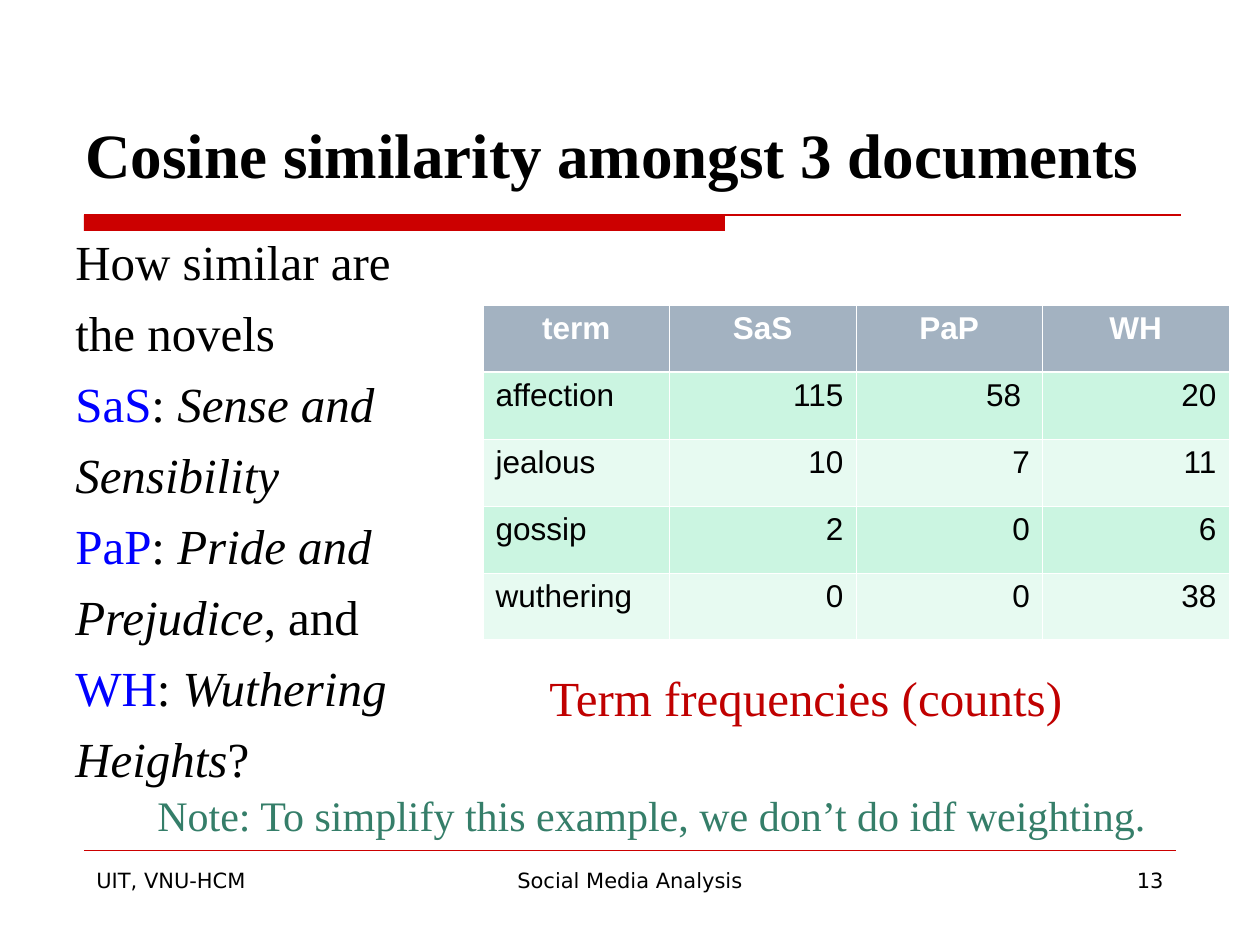
from lxml import etree
from pptx import Presentation
from pptx.dml.color import RGBColor
from pptx.enum.shapes import MSO_CONNECTOR, MSO_SHAPE
from pptx.enum.text import MSO_ANCHOR, PP_ALIGN
from pptx.oxml.ns import qn
from pptx.util import Pt

LEFT, MID, RIGHT = PP_ALIGN.LEFT, PP_ALIGN.CENTER, PP_ALIGN.RIGHT
TOP, BOTTOM = MSO_ANCHOR.TOP, MSO_ANCHOR.BOTTOM
STRAIGHT, RECT = MSO_CONNECTOR.STRAIGHT, MSO_SHAPE.RECTANGLE
PX = 914400 / 126
SERIF, SANS, UI = "Times New Roman", "Arial", "DejaVu Sans"
INK = {
    "red": "CC0000", "deep": "C00000", "blue": "0000FF", "green": "357E69",
    "black": "000000", "white": "FFFFFF",
    "head": "A3B2C1", "mint": "CBF5E1", "pale": "E7FAF1",
}


def emu(*nums):
    return [round(n * PX) for n in nums]


def write(para, text, font, size, color="black", **more):
    """Add a run; more holds further font values such as bold or italic."""
    run = para.add_run()
    run.text = text
    for key, val in {"name": font, "size": Pt(size), **more}.items():
        setattr(run.font, key, val)
    run.font.color.rgb = RGBColor.from_string(INK[color])


deck = Presentation()
deck.slide_width, deck.slide_height = emu(1260, 945)
slide = deck.slides.add_slide(deck.slide_layouts[6])
shapes = slide.shapes

# Title bar and thin rules
bar = shapes.add_shape(RECT, *emu(84, 215, 641, 16))
bar.shadow.inherit = False
bar.fill.solid()
bar.fill.fore_color.rgb = RGBColor.from_string(INK["red"])
bar.line.fill.background()

for x1, x2, y, width in [(84, 1181, 215, 0.75), (84, 1176, 850, 0.25)]:
    rule = shapes.add_connector(STRAIGHT, *emu(x1, y, x2, y))
    rule.line.color.rgb = RGBColor.from_string(INK["red"])
    rule.line.width = Pt(width)
    etree.SubElement(rule._element.spPr, qn("a:effectLst"))

# Table of term counts
rows = [
    ("term", "SaS", "PaP", "WH"),
    ("affection", "115", "58 ", "20"),
    ("jealous", "10", "7", "11"),
    ("gossip", "2", "0", "6"),
    ("wuthering", "0", "0", "38"),
]
table = shapes.add_table(5, 4, *emu(483, 305, 746, 335)).table
for r, row in enumerate(rows):
    for c, text in enumerate(row):
        cell = table.cell(r, c)
        props = cell._tc.get_or_add_tcPr()
        for side in "LRTB":
            thick = (r, side) in [(0, "B"), (1, "T")]
            edge = etree.SubElement(props, qn("a:ln" + side),
                                    w=str(Pt(1.47 if thick else 0.45)))
            paint = etree.SubElement(edge, qn("a:solidFill"))
            etree.SubElement(paint, qn("a:srgbClr"), val=INK["white"])
        cell.fill.solid()
        tone = "head" if r == 0 else "mint" if r % 2 else "pale"
        cell.fill.fore_color.rgb = RGBColor.from_string(INK[tone])
        para = cell.text_frame.paragraphs[0]
        para.alignment = MID if r == 0 else RIGHT if c else LEFT
        write(para, text, SANS, 18, "white" if r == 0 else "black", bold=r == 0)

# Question about the novels: (label, upright, italic, upright) per line
novels = [
    ("", "How similar are", "", ""),
    ("", "the novels", "", ""),
    ("SaS", ": ", "Sense and", ""),
    ("", "", "Sensibility", ""),
    ("PaP", ": ", "Pride and", ""),
    ("", "", "Prejudice", ", and"),
    ("WH", ": ", "Wuthering", ""),
    ("", "", "Heights", "?"),
]
frame = shapes.add_textbox(*emu(63, 226, 415, 646)).text_frame
frame.word_wrap = True
frame.margin_top = emu(5)[0]
for i, parts in enumerate(novels):
    para = frame.add_paragraph() if i else frame.paragraphs[0]
    if i:
        para.space_before = Pt(7)
    for k, text in enumerate(parts):
        if text:
            write(para, text, SERIF, 28, "black" if k else "blue", italic=k == 2)

# Single-line texts: place, text, font, size, colour, bold, align, anchor, wrap
lines = [
    ((73, 37, 1187, 160), "Cosine similarity amongst 3 documents",
     SERIF, 36, "black", True, LEFT, BOTTOM, True),
    ((537, 661, 541, 72), "Term frequencies (counts)",
     SERIF, 28, "deep", False, LEFT, TOP, False),
    ((145, 783, 1018, 63), "Note: To simplify this example, we don’t do idf weighting.",
     SERIF, 24, "green", False, LEFT, TOP, False),
    ((84, 861, 273, 66), "UIT, VNU-HCM", UI, 12, "black", False, LEFT, TOP, True),
    ((430, 861, 400, 66), "Social Media Analysis", UI, 12, "black", False, MID, TOP, True),
    ((903, 861, 273, 66), "13", UI, 12, "black", False, RIGHT, TOP, True),
]
for place, text, font, size, color, bold, align, anchor, wrap in lines:
    frame = shapes.add_textbox(*emu(*place)).text_frame
    frame.word_wrap = wrap
    frame.vertical_anchor = anchor
    para = frame.paragraphs[0]
    para.alignment = align
    write(para, text, font, size, color, bold=bold)

deck.save("out.pptx")
